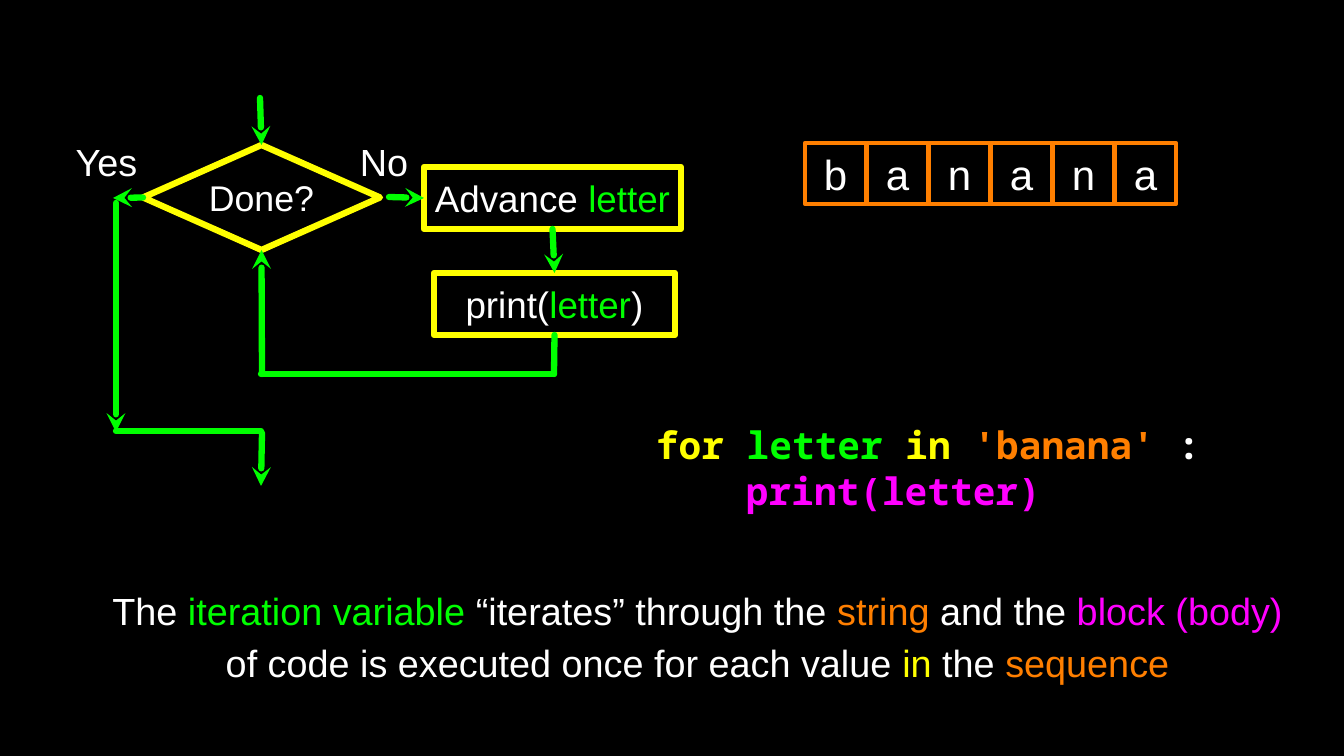
from dataclasses import dataclass
from typing import Any, NamedTuple, Optional

import pptx
import pptx.dml.color
import pptx.enum.shapes
import pptx.enum.text
import pptx.oxml.ns
import pptx.util
from lxml import etree

EMU_PER_PX = 12096
SHAPES = pptx.enum.shapes.MSO_SHAPE
ALIGN = pptx.enum.text.PP_ALIGN
TOP, LEFT, BOTTOM = 0, 1, 2


@dataclass(frozen=True)
class Theme:
    background: str = "000000"
    text: str = "FFFFFF"
    variable: str = "00FF00"
    keyword: str = "FFFF00"
    string: str = "FF7F00"
    body: str = "FF00FF"
    sans: str = "Arial"
    mono: str = "Noto Sans Mono"
    decision_size: int = 34
    step_size: int = 35
    label_size: int = 36
    cell_size: int = 40
    flow_line: int = 6
    cell_line: int = 4


THEME = Theme()


class Box(NamedTuple):
    left: int
    top: int
    width: int
    height: int


class Span(NamedTuple):
    text: str
    color: str = THEME.text


@dataclass(frozen=True)
class Line:
    spans: tuple[Span, ...]
    indent: int = 0


@dataclass(frozen=True)
class Text:
    lines: tuple[Line, ...]
    size: int
    font: str = THEME.sans
    bold: bool = False
    align: Any = ALIGN.CENTER
    spacing: float = 1.0


@dataclass(frozen=True)
class Node:
    box: Box
    text: Text
    color: str
    line_width: int
    kind: Any = SHAPES.RECTANGLE


@dataclass(frozen=True)
class Flow:
    start: tuple[int, int]
    end: tuple[int, int]
    arrow: bool = True
    source: Optional[tuple[str, int]] = None
    target: Optional[tuple[str, int]] = None


def px(length: int) -> pptx.util.Emu:
    return pptx.util.Emu(length * EMU_PER_PX)


def rgb(color: str) -> pptx.dml.color.RGBColor:
    return pptx.dml.color.RGBColor.from_string(color)


def one_line(size: int, *spans: Span) -> Text:
    return Text((Line(spans),), size)


def write_text(shape: Any, text: Text) -> None:
    frame = shape.text_frame
    frame.word_wrap = True
    frame.vertical_anchor = pptx.enum.text.MSO_ANCHOR.MIDDLE
    frame.margin_left = frame.margin_top = frame.margin_right = frame.margin_bottom = 0
    for index, line in enumerate(text.lines):
        paragraph = frame.add_paragraph() if index else frame.paragraphs[0]
        paragraph.alignment = text.align
        paragraph.line_spacing = text.spacing
        if line.indent:
            paragraph._p.get_or_add_pPr().set("marL", str(px(line.indent)))
        for span in line.spans:
            run = paragraph.add_run()
            run.text = span.text
            run.font.name = text.font
            run.font.size = pptx.util.Pt(text.size)
            run.font.bold = text.bold
            run.font.color.rgb = rgb(span.color)


def draw_node(slide: Any, node: Node) -> Any:
    shape = slide.shapes.add_shape(node.kind, *map(px, node.box))
    shape.shadow.inherit = False
    shape.fill.background()
    shape.line.color.rgb = rgb(node.color)
    shape.line.width = pptx.util.Pt(node.line_width)
    write_text(shape, node.text)
    return shape


def draw_text(slide: Any, box: Box, text: Text) -> None:
    write_text(slide.shapes.add_textbox(*map(px, box)), text)


def draw_flow(slide: Any, flow: Flow, shapes: dict[str, Any]) -> None:
    connector = slide.shapes.add_connector(
        pptx.enum.shapes.MSO_CONNECTOR.STRAIGHT, *map(px, flow.start + flow.end)
    )
    if flow.source:
        connector.begin_connect(shapes[flow.source[0]], flow.source[1])
    if flow.target:
        connector.end_connect(shapes[flow.target[0]], flow.target[1])
    connector.line.color.rgb = rgb(THEME.variable)
    connector.line.width = pptx.util.Pt(THEME.flow_line)
    outline = connector.line._get_or_add_ln()
    outline.set("cap", "rnd")
    if flow.arrow:
        etree.SubElement(outline, pptx.oxml.ns.qn("a:tailEnd"), type="stealth")
    etree.SubElement(connector._element.spPr, pptx.oxml.ns.qn("a:effectLst"))


LETTER = Span("letter", THEME.variable)

NODES = {
    "done": Node(
        Box(143, 145, 237, 105), one_line(THEME.decision_size, Span("Done?")),
        THEME.keyword, THEME.flow_line, SHAPES.DIAMOND,
    ),
    "advance": Node(
        Box(424, 167, 257, 62), one_line(THEME.step_size, Span("Advance "), LETTER),
        THEME.keyword, THEME.flow_line,
    ),
    "print": Node(
        Box(434, 273, 241, 62), one_line(THEME.step_size, Span("print("), LETTER, Span(")")),
        THEME.keyword, THEME.flow_line,
    ),
}

FLOWS = (
    Flow((260, 98), (261, 145), target=("done", TOP)),
    Flow((389, 197), (424, 198), target=("advance", LEFT)),
    Flow((552, 229), (554, 273), source=("advance", BOTTOM), target=("print", TOP)),
    Flow((554, 335), (554, 374), arrow=False, source=("print", BOTTOM)),
    Flow((554, 374), (261, 374), arrow=False),
    Flow((262, 374), (261, 250), target=("done", BOTTOM)),
    Flow((143, 197), (113, 198), source=("done", LEFT)),
    Flow((116, 203), (116, 432)),
    Flow((116, 431), (261, 431), arrow=False),
    Flow((262, 433), (261, 486)),
)

LABELS = {"Yes": Box(70, 135, 73, 52), "No": Box(354, 135, 60, 52)}

WORD = "banana"
FIRST_CELL = Box(805, 143, 61, 61)
CELL_PITCH = 62

CODE = Text(
    (
        Line((
            Span("for ", THEME.keyword), Span("letter ", THEME.variable),
            Span("in ", THEME.keyword), Span("'banana' ", THEME.string), Span(":"),
        )),
        Line((Span("print(letter)", THEME.body),), indent=90),
    ),
    THEME.label_size, THEME.mono, bold=True, align=ALIGN.LEFT,
)

SUMMARY = Text(
    (Line((
        Span("The"), Span(" iteration variable ", THEME.variable),
        Span("“iterates” through the "), Span("string ", THEME.string),
        Span("and the "), Span("block (body)", THEME.body),
        Span(" of code is executed once for each value "), Span("in", THEME.keyword),
        Span(" the "), Span("sequence", THEME.string),
    )),),
    THEME.label_size, spacing=1.15,
)


def main() -> None:
    presentation = pptx.Presentation()
    presentation.slide_width, presentation.slide_height = px(1344), px(756)
    slide = presentation.slides.add_slide(presentation.slide_layouts[6])
    slide.background.fill.solid()
    slide.background.fill.fore_color.rgb = rgb(THEME.background)

    shapes = {name: draw_node(slide, node) for name, node in NODES.items()}
    for flow in FLOWS:
        draw_flow(slide, flow, shapes)
    for label, box in LABELS.items():
        draw_text(slide, box, one_line(THEME.label_size, Span(label)))
    for index, letter in enumerate(WORD):
        box = FIRST_CELL._replace(left=FIRST_CELL.left + index * CELL_PITCH)
        text = one_line(THEME.cell_size, Span(letter))
        draw_node(slide, Node(box, text, THEME.string, THEME.cell_line))
    draw_text(slide, Box(656, 420, 549, 95), CODE)
    draw_text(slide, Box(97, 577, 1201, 112), SUMMARY)
    presentation.save("out.pptx")


if __name__ == "__main__":
    main()
